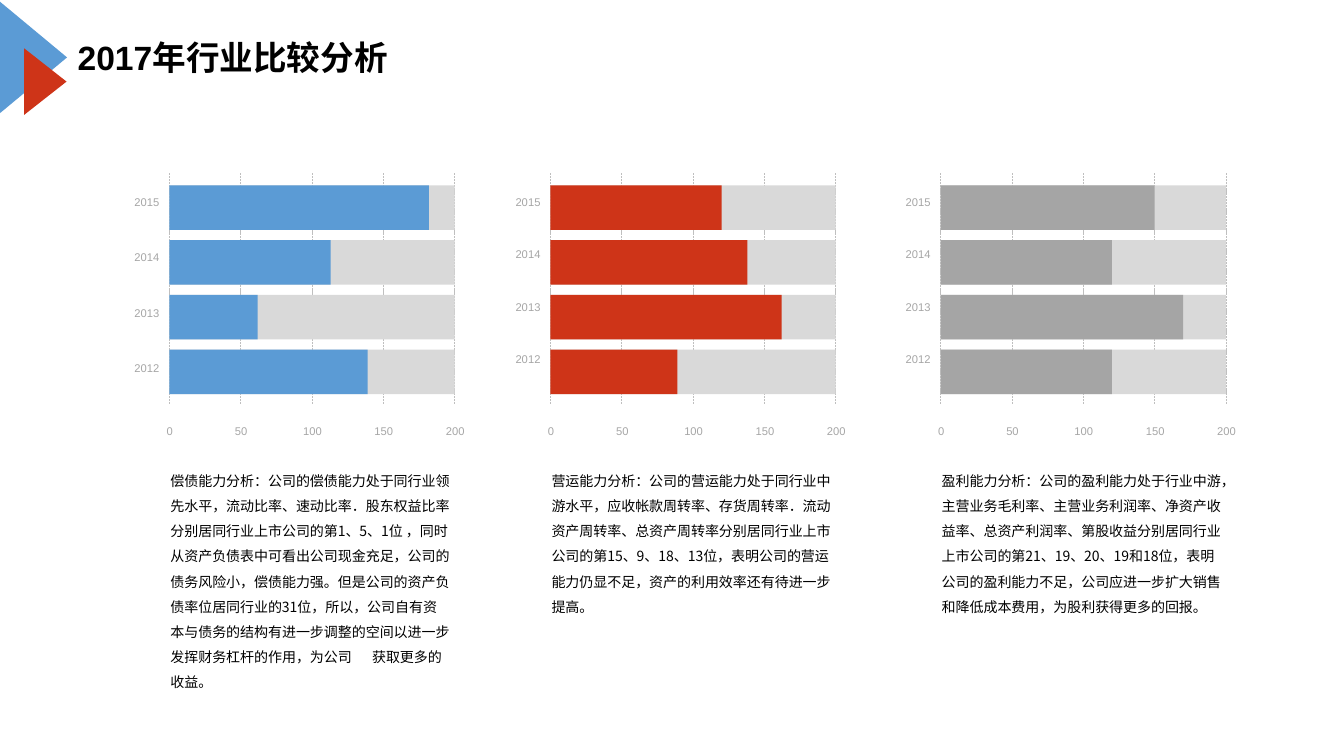
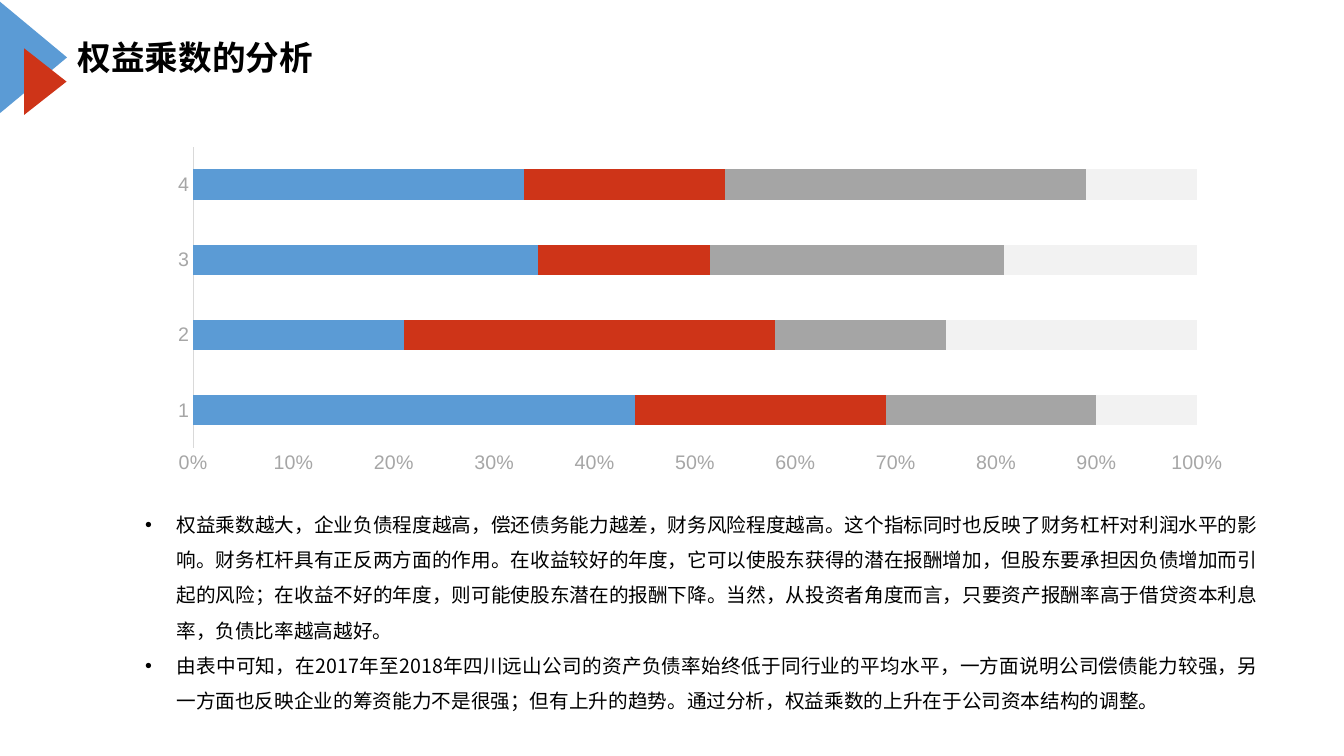
from dataclasses import dataclass

from lxml.etree import SubElement
from pptx import Presentation
from pptx.chart.data import CategoryChartData
from pptx.dml.color import RGBColor
from pptx.enum.chart import XL_CHART_TYPE, XL_TICK_MARK
from pptx.enum.dml import MSO_LINE
from pptx.enum.shapes import MSO_CONNECTOR, MSO_SHAPE
from pptx.enum.text import MSO_ANCHOR, MSO_AUTO_SIZE, PP_ALIGN
from pptx.oxml.ns import qn
from pptx.util import Inches, Pt


@dataclass(frozen=True)
class Theme:
    """Colours, fonts and type sizes of the deck."""
    blue: str = "5B9BD5"
    red: str = "CE3418"
    gray: str = "A5A5A5"
    pale: str = "F2F2F2"
    track: str = "D9D9D9"
    grid: str = "BFBFBF"
    label: str = "A6A6A6"
    text: str = "000000"
    latin: str = "Arial"
    cjk: str = "Noto Sans CJK SC"
    title_size: int = 24
    body_size: int = 14
    note_size: int = 10
    label_size: int = 8


T = Theme()
MARGINS = ("margin_left", "margin_top", "margin_right", "margin_bottom")
TITLE = dict(name=T.latin, size=Pt(T.title_size), bold=True, color=T.text)
BODY = dict(name=T.cjk, size=Pt(T.body_size), color=T.text)
NOTE = dict(name=T.cjk, size=Pt(T.note_size), color=T.text)
LABEL = dict(name=T.latin, size=Pt(T.label_size), color=T.label)
AXIS = dict(name=T.latin, size=Pt(T.body_size), color=T.label)

YEARS = ("2015", "2014", "2013", "2012")
TICKS = (0, 50, 100, 150, 200)
PANELS = (
    dict(x=1.68, color=T.blue, values=(182, 113, 62, 139), year_step=0.55,
         note="偿债能力分析：公司的偿债能力处于同行业领先水平，流动比率、速动比率．股东权益比率分别居同行业上市公司的第1、5、1位 ，同时从资产负债表中可看出公司现金充足，公司的债务风险小，偿债能力强。但是公司的资产负债率位居同行业的31位，所以，公司自有资本与债务的结构有进一步调整的空间以进一步发挥财务杠杆的作用，为公司\t获取更多的收益。"),
    dict(x=5.46, color=T.red, values=(120, 138, 162, 89), year_step=0.52,
         note="营运能力分析：公司的营运能力处于同行业中游水平，应收帐款周转率、存货周转率．流动资产周转率、总资产周转率分别居同行业上市公司的第15、9、18、13位，表明公司的营运能力仍显不足，资产的利用效率还有待进一步提高。"),
    dict(x=9.33, color=T.gray, values=(150, 120, 170, 120), year_step=0.52,
         note="盈利能力分析：公司的盈利能力处于行业中游，主营业务毛利率、主营业务利润率、净资产收益率、总资产利润率、第股收益分别居同行业上市公司的第21、19、20、19和18位，表明公司的盈利能力不足，公司应进一步扩大销售和降低成本费用，为股利获得更多的回报。"),
)
SERIES = (
    ("Series 1", (44, 21, 34, 33), T.blue),
    ("Series 2", (25, 37, 17, 20), T.red),
    ("Series 3", (21, 17, 29, 36), T.gray),
    ("Series 4", (10, 25, 19, 11), T.pale),
)
POINTS = (
    "权益乘数越大，企业负债程度越高，偿还债务能力越差，财务风险程度越高。这个指标同时也反映了财务杠杆对利润水平的影响。财务杠杆具有正反两方面的作用。在收益较好的年度，它可以使股东获得的潜在报酬增加，但股东要承担因负债增加而引起的风险；在收益不好的年度，则可能使股东潜在的报酬下降。当然，从投资者角度而言，只要资产报酬率高于借贷资本利息率，负债比率越高越好。",
    "由表中可知，在2017年至2018年四川远山公司的资产负债率始终低于同行业的平均水平，一方面说明公司偿债能力较强，另一方面也反映企业的筹资能力不是很强；但有上升的趋势。通过分析，权益乘数的上升在于公司资本结构的调整。",
)


def set_font(font, fmt):
    """Apply a dict of format values to a font."""
    for key, value in fmt.items():
        if key == "color":
            font.color.rgb = RGBColor.from_string(value)
        else:
            setattr(font, key, value)


def write(p, text, fmt, **para):
    """Fill a paragraph with one formatted run."""
    for key, value in para.items():
        setattr(p, key, value)
    r = p.add_run()
    r.text = text
    set_font(r.font, fmt)
    SubElement(r.font._element, qn("a:ea")).set("typeface", T.cjk)


def place(sp, x, y, w, h):
    """Move and size a shape in inches."""
    sp.left, sp.top, sp.width, sp.height = map(Inches, (x, y, w, h))


def frame(sp, inset=True):
    """Prepare a wrapping, top-anchored text frame."""
    tf = sp.text_frame
    tf.word_wrap = True
    tf.auto_size = MSO_AUTO_SIZE.NONE
    tf.vertical_anchor = MSO_ANCHOR.TOP
    for side in () if inset else MARGINS:
        setattr(tf, side, 0)
    return tf


def add_text(shapes, box, text, fmt, inset=True, **para):
    """Add a text box holding one paragraph."""
    sp = shapes.add_textbox(*map(Inches, box))
    write(frame(sp, inset).paragraphs[0], text, fmt, **para)


def add_filled(shapes, kind, box, color):
    """Add a flat preset shape without outline."""
    sp = shapes.add_shape(kind, *map(Inches, box))
    sp.shadow.inherit = False
    sp.fill.solid()
    sp.fill.fore_color.rgb = RGBColor.from_string(color)
    sp.line.fill.background()
    return sp


def add_gridline(shapes, x, y, h):
    """Add a dashed vertical line."""
    ln = shapes.add_connector(MSO_CONNECTOR.STRAIGHT, *map(Inches, (x, y, x, y + h)))
    ln.line.color.rgb = RGBColor.from_string(T.grid)
    ln.line.width = Pt(0.5)
    ln.line.dash_style = MSO_LINE.SQUARE_DOT
    SubElement(ln._element.spPr, qn("a:effectLst"))


def add_slide(prs, layout, title):
    """Add a slide with the corner triangles and the title."""
    s = prs.slides.add_slide(prs.slide_layouts[layout])
    for box, color in (((-0.24, 0.23, 1.13, 0.68), T.blue),
                       ((0.12, 0.6, 0.66, 0.42), T.red)):
        add_filled(s.shapes, MSO_SHAPE.ISOSCELES_TRIANGLE, box, color).rotation = 90
    sp = s.shapes.title
    place(sp, 0.77, 0.37, 3.08, 0.4)
    write(frame(sp, inset=False).paragraphs[0], title, TITLE, alignment=PP_ALIGN.LEFT)
    return s


def add_panel(s, box, color, values, year_step, note):
    """Draw one bar panel with its scale, years and note."""
    x, y, w, h = box
    bar_h, pad = 0.44, 0.12
    pitch = (h - bar_h - pad - 0.1) / (len(values) - 1)
    shapes = s.shapes.add_group_shape().shapes
    for tick in TICKS:
        tick_x = x + w * tick / TICKS[-1]
        add_gridline(shapes, tick_x, y, h)
        add_text(shapes, (tick_x - 0.28, y + 2.41, 0.57, 0.26), str(tick), LABEL,
                 alignment=PP_ALIGN.CENTER, line_spacing=1.2)
    for i, (year, value) in enumerate(zip(YEARS, values)):
        bar_y = y + pad + i * pitch
        for length, fill in ((w, T.track), (w * value / TICKS[-1], color)):
            add_filled(shapes, MSO_SHAPE.RECTANGLE, (x, bar_y, length, bar_h), fill)
        add_text(shapes, (x - 0.67, y + 0.14 + i * year_step, 0.67, 0.26), year, LABEL,
                 alignment=PP_ALIGN.RIGHT, line_spacing=1.2)
    add_text(shapes, (x + 0.01, y + 2.88, 2.78, 2.27), note, NOTE, inset=False,
             line_spacing=1.5)


def add_share_chart(s, box):
    """Add the stacked percentage bar chart."""
    data = CategoryChartData()
    data.categories = ("1", "2", "3", "4")
    for name, values, _ in SERIES:
        data.add_series(name, values)
    chart = s.shapes.add_chart(XL_CHART_TYPE.BAR_STACKED_100, *map(Inches, box), data).chart
    chart.has_legend = chart.has_title = False
    set_font(chart.font, AXIS)
    plot = chart.plots[0]
    plot.gap_width, plot.overlap, plot.vary_by_categories = 150, 100, False
    for series, (_, _, color) in zip(plot.series, SERIES):
        series.format.fill.solid()
        series.format.fill.fore_color.rgb = RGBColor.from_string(color)
    for axis in (chart.category_axis, chart.value_axis):
        axis.major_tick_mark = axis.minor_tick_mark = XL_TICK_MARK.NONE
        axis.has_major_gridlines = False
        set_font(axis.tick_labels.font, AXIS)
    line = chart.category_axis.format.line
    line.color.rgb = RGBColor.from_string(T.track)
    line.width = Pt(0.75)
    chart.value_axis.format.line.fill.background()
    labels = chart.value_axis.tick_labels
    labels.number_format, labels.number_format_is_linked = "0%", False


def add_points(s, box):
    """Fill the body placeholder with the bulleted list."""
    sp = s.placeholders[1]
    place(sp, *box)
    tf = frame(sp)
    for i, point in enumerate(POINTS):
        p = tf.add_paragraph() if i else tf.paragraphs[0]
        pPr = p._p.get_or_add_pPr()
        pPr.set("marL", str(Inches(0.31)))
        pPr.set("indent", str(-Inches(0.31)))
        write(p, point, BODY, alignment=PP_ALIGN.JUSTIFY, line_spacing=1.5,
              space_before=Pt(0))
        SubElement(pPr, qn("a:buFont")).set("typeface", T.latin)
        SubElement(pPr, qn("a:buChar")).set("char", "•")


def comparison_slide(prs):
    """Build the slide of three bar panels."""
    s = add_slide(prs, 5, "2017年行业比较分析")
    for panel in PANELS:
        parts = dict(panel)
        add_panel(s, (parts.pop("x"), 1.72, 2.83, 2.29), **parts)


def multiplier_slide(prs):
    """Build the slide of the share chart and its list."""
    s = add_slide(prs, 1, "权益乘数的分析")
    add_share_chart(s, (1.55, 1.39, 10.79, 3.38))
    add_points(s, (1.34, 4.92, 11.24, 2.22))


def main():
    """Build and save the deck."""
    prs = Presentation()
    prs.slide_width, prs.slide_height = Inches(13.33), Inches(7.5)
    comparison_slide(prs)
    multiplier_slide(prs)
    prs.save("out.pptx")


if __name__ == "__main__":
    main()
